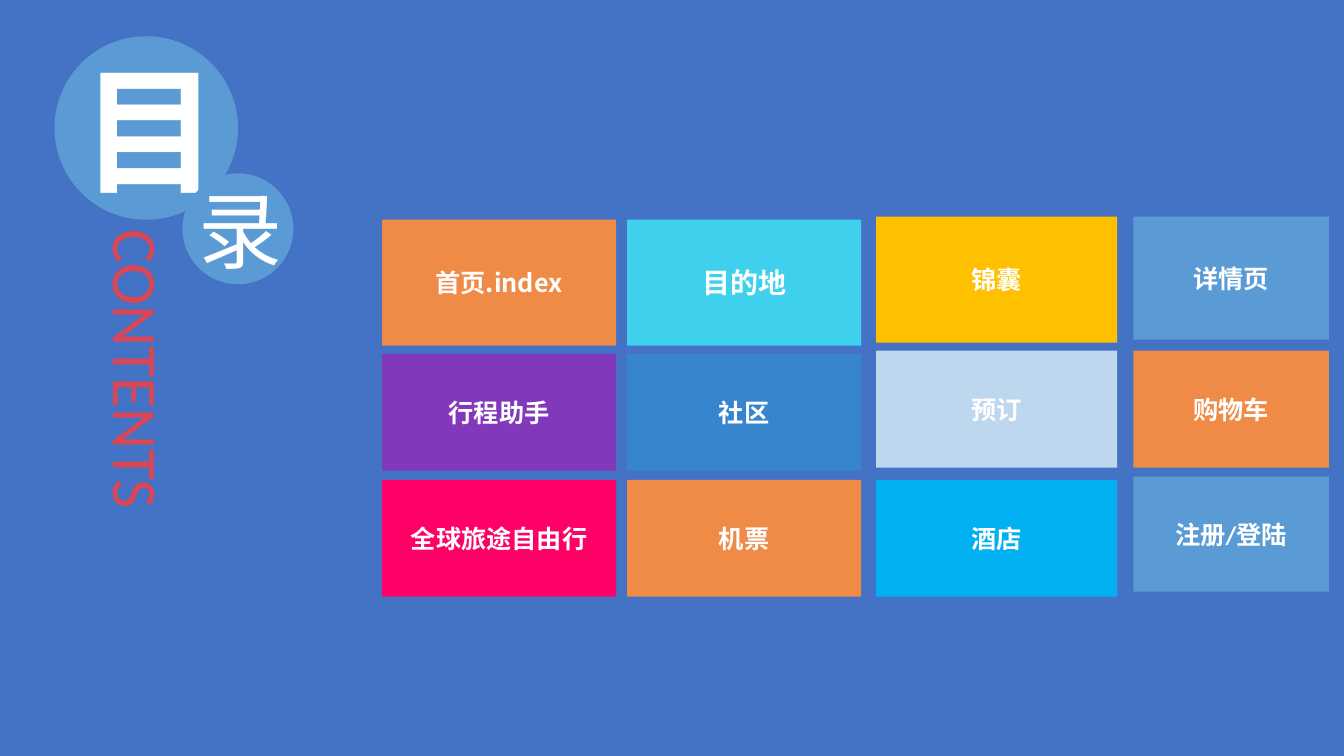
from lxml import etree
from pptx import Presentation
from pptx.dml.color import RGBColor
from pptx.enum.shapes import MSO_SHAPE
from pptx.enum.text import MSO_ANCHOR, PP_ALIGN
from pptx.oxml.ns import qn
from pptx.util import Inches, Pt

RECT, OVAL = MSO_SHAPE.RECTANGLE, MSO_SHAPE.OVAL
MIDDLE = MSO_ANCHOR.MIDDLE
LEFT, CENTER = PP_ALIGN.LEFT, PP_ALIGN.CENTER
LATIN, HAN = "Calibri", "Noto Sans CJK SC"
COLORS = {
    "back": "4472C4", "white": "FFFFFF", "red": "DA4654", "blue": "5B9BD5",
    "orange": "EF8B47", "pink": "FF0066", "purple": "8238BA", "azure": "3786CD",
    "cyan": "3FD0ED", "gold": "FFC000", "sky": "00B0F0", "pale": "BDD7EE",
}


def color(name):
    return RGBColor.from_string(COLORS[name])


def write(shape, text, size, font=LATIN, bold=True, ink="white", align=CENTER):
    frame = shape.text_frame
    frame.vertical_anchor = MIDDLE
    para = frame.paragraphs[0]
    para.alignment = align
    run = para.add_run()
    run.text = text
    style = {"name": font, "size": Pt(size), "bold": bold}
    for key, value in style.items():
        setattr(run.font, key, value)
    run.font.color.rgb = color(ink)
    # Chinese glyphs take the East Asian font
    etree.SubElement(run._r.get_or_add_rPr(), qn("a:ea")).set("typeface", HAN)


prs = Presentation()
prs.slide_width, prs.slide_height = Inches(13.33), Inches(7.5)
slide = prs.slides.add_slide(prs.slide_layouts[6])
slide.background.fill.solid()
slide.background.fill.fore_color.rgb = color("back")

# Menu columns: left, width, row tops, row heights, tiles
LOW, HIGH = (2.18, 3.51, 4.76), (2.15, 3.48, 4.76)
ROWS = (1.25, 1.16, 1.16)
columns = [
    (3.79, 2.32, LOW, ROWS,
     [("首页.index", "orange"), ("行程助手", "purple"), ("全球旅途自由行", "pink")]),
    (6.22, 2.32, LOW, ROWS,
     [("目的地", "cyan"), ("社区", "azure"), ("机票", "orange")]),
    (8.69, 2.39, HIGH, ROWS,
     [("锦囊", "gold"), ("预订", "pale"), ("酒店", "sky")]),
    (11.24, 1.94, (2.15, 3.48, 4.73), (1.22, 1.16, 1.14),
     [("详情页", "blue"), ("购物车", "orange"), ("注册/登陆", "blue")]),
]
for left, width, tops, heights, tiles in columns:
    group = slide.shapes.add_group_shape()
    for top, height, (text, fill) in zip(tops, heights, tiles):
        tile = group.shapes.add_shape(
            RECT, Inches(left), Inches(top), Inches(width), Inches(height))
        tile.shadow.inherit = False
        tile.fill.solid()
        tile.fill.fore_color.rgb = color(fill)
        tile.line.fill.background()
        write(tile, text, 20 if text == "目的地" else 18,
              HAN if text in ("首页.index", "社区") else LATIN)

# Title discs
title = slide.shapes.add_group_shape()
discs = [(0.54, 0.36, 1.82, "目", 98.1, True), (1.81, 1.72, 1.1, "录", 60, False)]
for left, top, side, text, size, bold in discs:
    disc = title.shapes.add_shape(
        OVAL, Inches(left), Inches(top), Inches(side), Inches(side))
    disc.shadow.inherit = False
    disc.fill.solid()
    disc.fill.fore_color.rgb = color("blue")
    disc.line.fill.background()
    write(disc, text, size, HAN, bold)

# Vertical caption
label = title.shapes.add_textbox(
    Inches(1.01), Inches(2.28), Inches(0.73), Inches(3.27))
label.text_frame.word_wrap = True
label.text_frame._txBody.bodyPr.set("vert", "eaVert")
write(label, "CONTENTS", 45.4, bold=False, ink="red", align=LEFT)

# Title parts have no inner margins
for part in title.shapes:
    for edge in ("left", "top", "right", "bottom"):
        setattr(part.text_frame, "margin_" + edge, 0)

prs.save("out.pptx")
